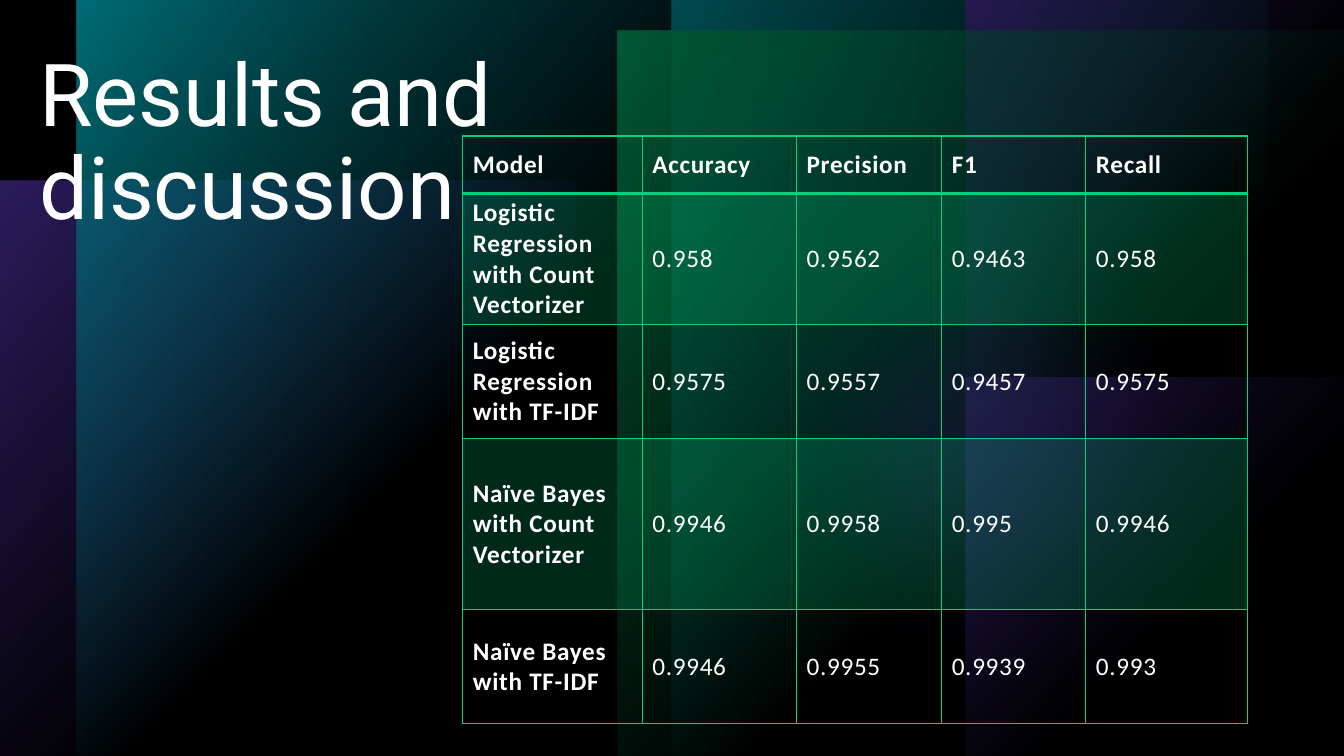
from dataclasses import dataclass

from pptx import Presentation, util as u
from pptx.dml.color import RGBColor
from pptx.enum import shapes, text
from pptx.oxml import parse_xml
from pptx.oxml.ns import nsdecls, qn


@dataclass(frozen=True)
class Theme:
    black: str = "000000"
    white: str = "FFFFFF"
    green: str = "00D17D"
    teal: str = "00BAC8"
    purple: str = "794DFF"
    head: str = "Roboto"
    body: str = "Calibri"
    big: int = 62
    cell: int = 18


T = Theme()
WIDE, HIGH = 13.33, 7.5
RECT = shapes.MSO_SHAPE.RECTANGLE
OVAL = shapes.MSO_SHAPE.OVAL

ROWS = [
    ("Model", "Accuracy", "Precision", "F1", "Recall"),
    ("Logistic Regression with Count Vectorizer", "0.958", "0.9562", "0.9463", "0.958"),
    ("Logistic Regression with TF-IDF", "0.9575", "0.9557", "0.9457", "0.9575"),
    ("Naïve Bayes with Count Vectorizer", "0.9946", "0.9958", "0.995", "0.9946"),
    ("Naïve Bayes with TF-IDF", "0.9946", "0.9955", "0.9939", "0.993"),
]
COLS = (1.78, 1.53, 1.44, 1.43, 1.6)
TALL = (0.57, 1.3, 1.13, 1.7, 1.13)


def inches(box):
    return [u.Inches(n) for n in box]


def tint(color, share):
    return f'<a:srgbClr val="{color}"><a:alpha val="{share * 1000}"/></a:srgbClr>'


def solid(color, share):
    return parse_xml(f'<a:solidFill {nsdecls("a")}>{tint(color, share)}</a:solidFill>')


def fade(stops, way):
    """Gradient through (place, colour, opacity) stops."""
    marks = "".join(f'<a:gs pos="{at * 1000}">{tint(c, a)}</a:gs>' for at, c, a in stops)
    return parse_xml(f'<a:gradFill {nsdecls("a")} rotWithShape="1">'
                     f'<a:gsLst>{marks}</a:gsLst>{way}</a:gradFill>')


def glow(color, share=100):
    """Round gradient that spreads from the top left corner."""
    way = ('<a:path path="circle"><a:fillToRect l="0" t="0" r="100000" b="100000"/>'
           '</a:path>')
    return fade([(0, color, share), (60, color, 0)], way)


def panel(slide, box, paint, kind=RECT, soft=0):
    part = slide.shapes.add_shape(kind, *inches(box))
    part.shadow.inherit = False
    part.line.fill.background()
    part.fill.background()
    props = part.element.spPr
    props.replace(props.find(qn("a:noFill")), paint)
    if soft:
        edge = f'<a:softEdge {nsdecls("a")} rad="{u.Inches(soft)}"/>'
        props.find(qn("a:effectLst")).append(parse_xml(edge))


def backdrop(slide, wide, high):
    """Coloured glows on black, dimmed by one veil."""
    slide.background.fill.solid()
    slide.background.fill.fore_color.rgb = RGBColor.from_string(T.black)
    half, band = high / 2, 5.91
    mid = wide / 2
    panel(slide, (0, 1.79, 5.71, 5.71), glow(T.purple, 60))
    panel(slide, (6.98, 0, 4.72, 4.72), solid(T.green, 96), OVAL, 1.39)
    panel(slide, (6.69, 1.35, 6.02, 6.02), solid(T.purple, 60), OVAL, 1.39)
    for left in (mid, mid - band):
        panel(slide, (left, 0, band, high), glow(T.teal))
    for top in (half, 0):
        panel(slide, (wide - half, top, half, half), glow(T.purple))
    panel(slide, (wide - 7.2, 0.3, 7.2, 7.2), glow(T.green))
    veil = fade([(0, T.black, 40), (100, T.black, 80)], '<a:lin ang="0" scaled="0"/>')
    panel(slide, (0, 0, wide, high), veil)


def write(para, words, face, size, bold=False):
    run = para.add_run()
    run.text = words
    run.font.name = face
    run.font.size = u.Pt(size)
    run.font.bold = bold
    run.font.color.rgb = RGBColor.from_string(T.white)
    return run


def title(slide, box):
    frame = slide.shapes.add_textbox(*inches(box)).text_frame
    frame.word_wrap = True
    frame.vertical_anchor = text.MSO_ANCHOR.TOP
    para = frame.paragraphs[0]
    para.line_spacing = 0.9
    write(para, "Results and discussion", T.head, T.big)


def border(cell, head):
    """Green lines round a cell; the header has a heavier base."""
    props = cell._tc.get_or_add_tcPr()
    for spot, side in enumerate("LRTB"):
        width = u.Pt(2 if head and side == "B" else 1)
        props.insert(spot, parse_xml(
            f'<a:ln{side} {nsdecls("a")} w="{width}"><a:solidFill>'
            f'{tint(T.green, 100)}</a:solidFill></a:ln{side}>'))


def scores(slide, box):
    grid = slide.shapes.add_table(len(ROWS), len(COLS), *inches(box)).table
    grid.first_row = grid.horz_banding = False
    for col, size in zip(grid.columns, COLS):
        col.width = u.Inches(size)
    for row, size in zip(grid.rows, TALL):
        row.height = u.Inches(size)
    for r, line in enumerate(ROWS):
        for c, words in enumerate(line):
            cell = grid.cell(r, c)
            cell.vertical_anchor = text.MSO_ANCHOR.MIDDLE
            cell.margin_left = cell.margin_right = u.Inches(0.1)
            cell.margin_top = cell.margin_bottom = 0
            run = write(cell.text_frame.paragraphs[0], words, T.body, T.cell,
                        r == 0 or c == 0)
            run.font._element.set("spc", "50")
            cell.fill.background()
            if r % 2:
                props = cell._tc.tcPr
                props.replace(props.find(qn("a:noFill")), solid(T.green, 20))
            border(cell, r == 0)


def main():
    deck = Presentation()
    deck.slide_width, deck.slide_height = inches((WIDE, HIGH))
    slide = deck.slides.add_slide(deck.slide_layouts[6])
    backdrop(slide, WIDE, HIGH)
    title(slide, (0.29, 0.46, 4.75, 2))
    scores(slide, (4.59, 1.35, sum(COLS), sum(TALL)))
    deck.save("out.pptx")


if __name__ == "__main__":
    main()
